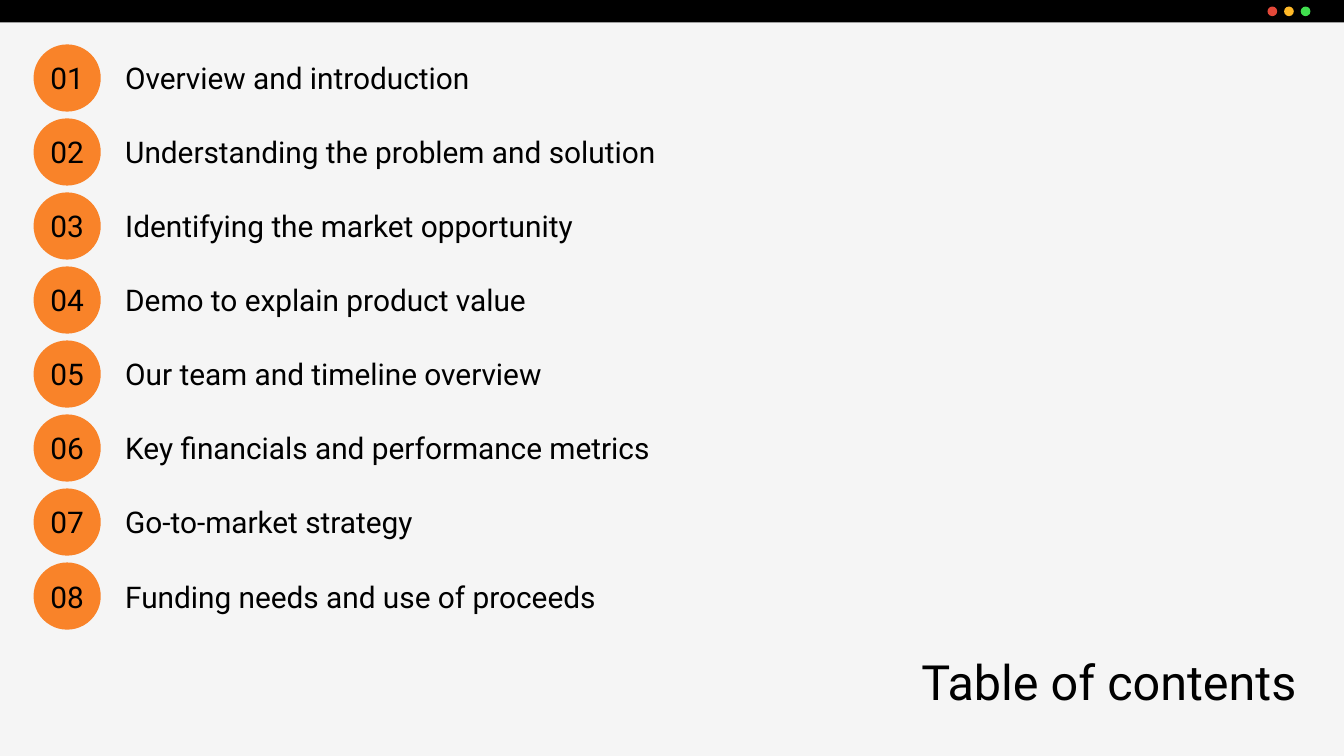
import pptx
import pptx.util
import pptx.dml.color
import pptx.enum.shapes
import pptx.enum.text
from dataclasses import dataclass

Pt = pptx.util.Pt
RGB = pptx.dml.color.RGBColor.from_string
SHAPE = pptx.enum.shapes.MSO_SHAPE
ALIGN = pptx.enum.text.PP_ALIGN
ANCHOR = pptx.enum.text.MSO_ANCHOR


@dataclass
class Theme:
    font: str = "Roboto"
    background: str = "F5F5F5"
    ink: str = "000000"
    accent: str = "F98329"
    lights: tuple = ("E34839", "FFB928", "41DF4F")
    title_size: int = 26
    item_size: int = 16
    inset: float = 7.2


class Deck:
    def __init__(self, theme, width, height):
        self.theme = theme
        self.prs = pptx.Presentation()
        self.prs.slide_width, self.prs.slide_height = Pt(width), Pt(height)
        self.s = None

    def add_slide(self):
        self.s = self.prs.slides.add_slide(self.prs.slide_layouts[6])
        fill = self.s.background.fill
        fill.solid()
        fill.fore_color.rgb = RGB(self.theme.background)

    def shape(self, kind, x, y, w, h, color):
        sp = self.s.shapes.add_shape(kind, Pt(x), Pt(y), Pt(w), Pt(h))
        sp.shadow.inherit = False
        sp.fill.solid()
        sp.fill.fore_color.rgb = RGB(color)
        sp.line.fill.background()

    def text(self, text, x, y, w, h, size, align=ALIGN.LEFT, anchor=ANCHOR.MIDDLE):
        tf = self.s.shapes.add_textbox(Pt(x), Pt(y), Pt(w), Pt(h)).text_frame
        tf.word_wrap = True
        tf.vertical_anchor = anchor
        tf.margin_left = tf.margin_right = Pt(self.theme.inset)
        tf.margin_top = tf.margin_bottom = Pt(self.theme.inset)
        tf.text = text
        p = tf.paragraphs[0]
        p.alignment = align
        font = p.runs[0].font
        font.name, font.size = self.theme.font, Pt(size)
        font.color.rgb = RGB(self.theme.ink)


WIDTH, HEIGHT, MARGIN = 720, 405, 18
ITEMS = [
    "Overview and introduction",
    "Understanding the problem and solution",
    "Identifying the market opportunity",
    "Demo to explain product value",
    "Our team and timeline overview",
    "Key financials and performance metrics",
    "Go-to-market strategy",
    "Funding needs and use of proceeds",
]


def main():
    theme = Theme()
    deck = Deck(theme, WIDTH, HEIGHT)
    deck.add_slide()

    # Window bar with its three lights
    deck.shape(SHAPE.RECTANGLE, 0, 0, WIDTH, 12, theme.ink)
    for i, color in enumerate(theme.lights):
        deck.shape(SHAPE.OVAL, 679 + i * 8.9, 3.5, 5.2, 5.2, color)

    # Numbered contents, one row per item
    top, pitch, circle, label_h = 23.8, 39.65, 36, 24.5
    for i, item in enumerate(ITEMS):
        y = top + i * pitch
        text_y = y + (circle - label_h) / 2
        deck.shape(SHAPE.OVAL, MARGIN, y, circle, circle, theme.accent)
        deck.text(f"{i + 1:02}", MARGIN, text_y, circle, label_h,
                  theme.item_size, ALIGN.CENTER)
        deck.text(item, 60, text_y, 307, label_h, theme.item_size)

    # Slide title
    deck.text("Table of contents", MARGIN, 342, WIDTH - 2 * MARGIN, 45,
              theme.title_size, ALIGN.RIGHT, ANCHOR.TOP)

    deck.prs.save("out.pptx")


if __name__ == "__main__":
    main()
